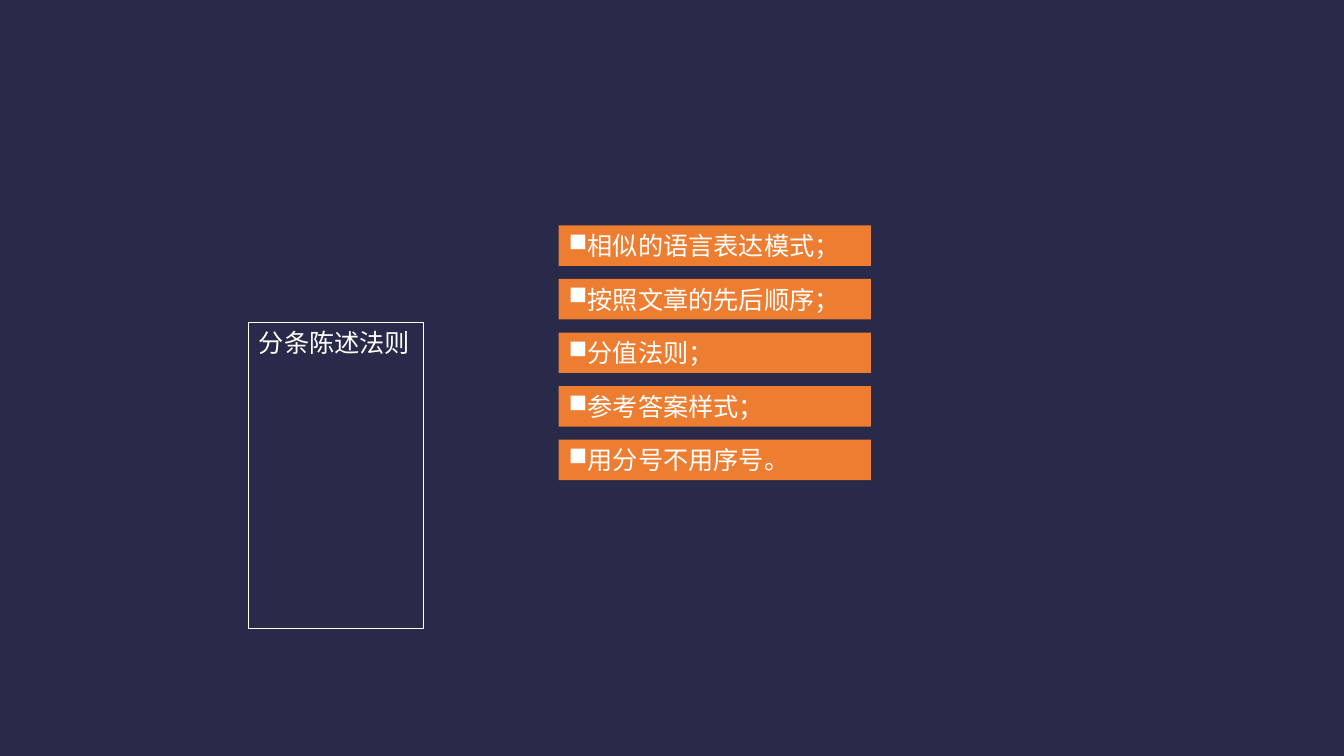
"""Build a slide that states a rule beside its five stacked points."""
from dataclasses import dataclass

import pptx
import pptx.dml.color
import pptx.enum.shapes
import pptx.enum.text
import pptx.oxml.ns
import pptx.util
from lxml import etree

Cm = pptx.util.Cm
Pt = pptx.util.Pt

NAVY, ORANGE, WHITE = "292949", "ED7D31", "FFFFFF"
BAR_HEIGHT = 1.02
FONT = {"name": "Calibri", "size": Pt(18), "bold": False}
FRAME = {
    "word_wrap": True,
    "auto_size": pptx.enum.text.MSO_AUTO_SIZE.SHAPE_TO_FIT_TEXT,
    "vertical_anchor": pptx.enum.text.MSO_ANCHOR.TOP,
}
HEADING = {
    "alignment": pptx.enum.text.PP_ALIGN.JUSTIFY,
    "space_before": Pt(0),
    "space_after": Pt(8),
}
BULLETED = {"alignment": pptx.enum.text.PP_ALIGN.LEFT}


@dataclass
class Point:
    text: str
    top: float
    left: float = 14.08
    width: float = 7.87


def set_all(target: object, values: dict) -> None:
    for key, value in values.items():
        setattr(target, key, value)


def paint(color_format: object, color: str) -> None:
    color_format.rgb = pptx.dml.color.RGBColor.from_string(color)


def write(shape: object, text: str, paragraph_format: dict, bullet: str = "") -> None:
    frame = shape.text_frame
    frame.text = text
    set_all(frame, FRAME)
    paragraph = frame.paragraphs[0]
    set_all(paragraph, paragraph_format)
    if bullet:
        properties = paragraph._p.get_or_add_pPr()
        properties.set("marL", str(Cm(0.48)))
        properties.set("indent", str(-Cm(0.48)))
        mark = etree.SubElement(properties, pptx.oxml.ns.qn("a:buChar"))
        mark.set("char", bullet)
    font = paragraph.runs[0].font
    set_all(font, FONT)
    paint(font.color, WHITE)


def place_rule(rule: object, text: str) -> None:
    set_all(rule, {"left": Cm(6.27), "top": Cm(8.13), "width": Cm(4.4), "height": Cm(BAR_HEIGHT)})
    write(rule, text, HEADING)
    rule.fill.background()
    paint(rule.line.fill_color if hasattr(rule.line, "fill_color") else rule.line.color, WHITE)
    rule.line.width = Pt(0.75)


def draw_point(slide: object, point: Point) -> None:
    bar = slide.shapes.add_shape(
        pptx.enum.shapes.MSO_SHAPE.RECTANGLE,
        Cm(point.left), Cm(point.top), Cm(point.width), Cm(BAR_HEIGHT),
    )
    bar.shadow.inherit = False
    bar.fill.solid()
    paint(bar.fill.fore_color, ORANGE)
    bar.line.fill.background()
    write(bar, point.text, BULLETED, "■")


def main() -> None:
    deck = pptx.Presentation()
    set_all(deck, {"slide_width": Cm(33.87), "slide_height": Cm(19.05)})
    slide = deck.slides.add_slide(deck.slide_layouts.get_by_name("Title Only"))
    slide.background.fill.solid()
    paint(slide.background.fill.fore_color, NAVY)
    place_rule(slide.shapes.title, "分条陈述法则")
    points = [
        "相似的语言表达模式；",
        "按照文章的先后顺序；",
        "分值法则；",
        "参考答案样式；",
        "用分号不用序号。",
    ]
    for row, text in enumerate(points):
        draw_point(slide, Point(text, 5.68 + 1.35 * row))
    deck.save("out.pptx")


if __name__ == "__main__":
    main()
